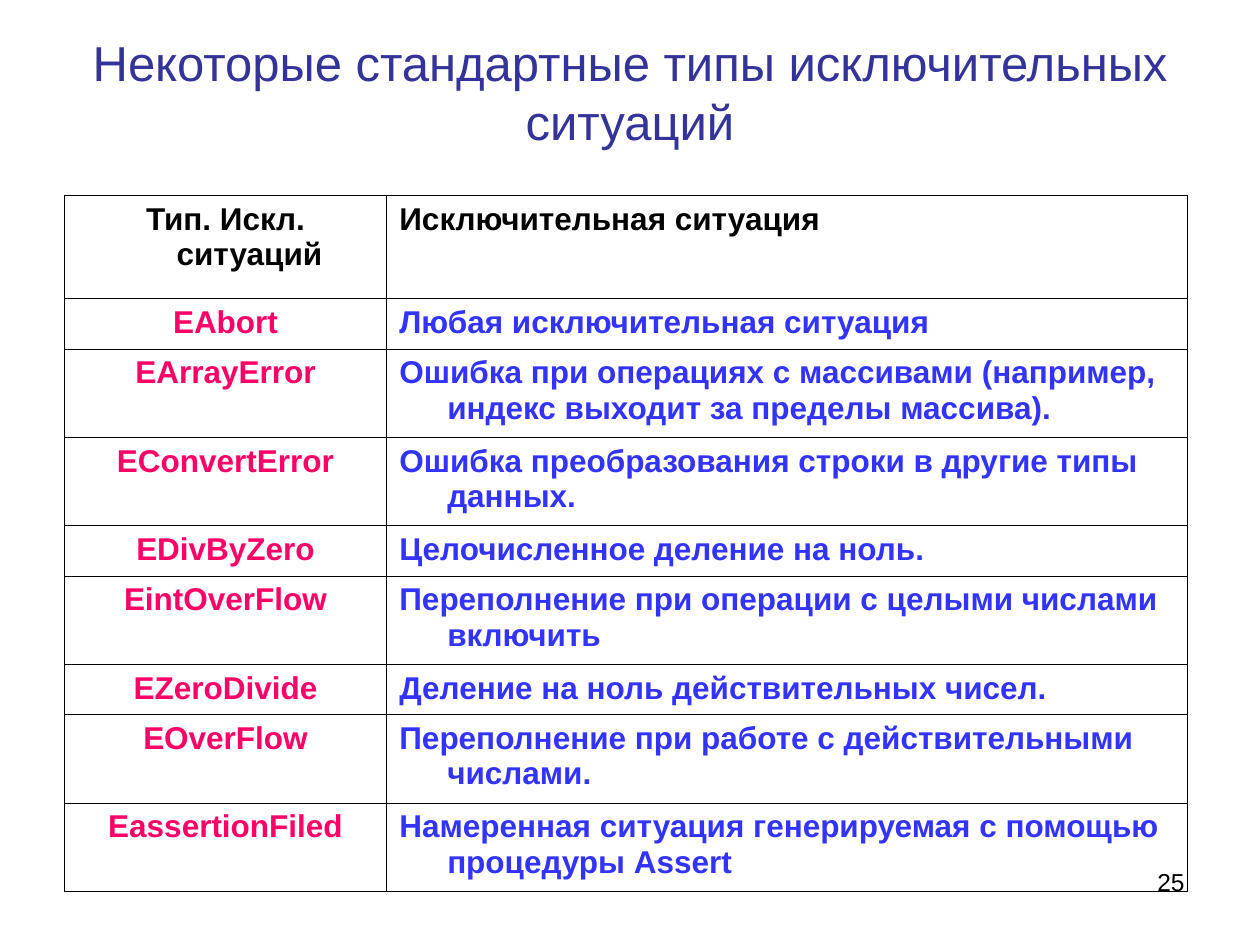
from lxml import etree
from pptx import Presentation
from pptx.dml.color import RGBColor
from pptx.enum.text import MSO_ANCHOR, PP_ALIGN
from pptx.oxml.ns import qn
from pptx.util import Inches, Pt

LEFT, CENTER, RIGHT = PP_ALIGN.LEFT, PP_ALIGN.CENTER, PP_ALIGN.RIGHT
MIDDLE = MSO_ANCHOR.MIDDLE
BLACK, NAVY, PINK, BLUE = "000000", "333399", "FF0066", "3333FF"


def write(frame, text, size=18, color=BLACK, bold=False, align=LEFT, hanging=0):
    frame.word_wrap = True
    paragraph = frame.paragraphs[0]
    paragraph.alignment = align
    if hanging:
        properties = paragraph._p.get_or_add_pPr()
        properties.set("marL", str(Inches(hanging)))
        properties.set("indent", str(-Inches(hanging)))
    run = paragraph.add_run()
    run.text = text
    run.font.name = "Arial"
    run.font.size = Pt(size)
    run.font.bold = bold
    run.font.color.rgb = RGBColor.from_string(color)


def add_borders(cell, color=BLACK, width=0.45):
    properties = cell._tc.get_or_add_tcPr()
    for position, side in enumerate(("a:lnL", "a:lnR", "a:lnT", "a:lnB")):
        line = etree.Element(qn(side), w=str(Pt(width)))
        fill = etree.SubElement(line, qn("a:solidFill"))
        etree.SubElement(fill, qn("a:srgbClr"), val=color)
        properties.insert(position, line)


presentation = Presentation()
presentation.slide_width = Inches(10)
presentation.slide_height = Inches(7.5)
slide = presentation.slides.add_slide(presentation.slide_layouts[6])

title = slide.shapes.add_textbox(Inches(0.5), Inches(0.3), Inches(9), Inches(0.85))
title.text_frame.vertical_anchor = MIDDLE
write(title.text_frame, "Некоторые стандартные типы исключительных ситуаций",
      size=28, color=NAVY, align=CENTER)

ONE_LINE, TWO_LINES = 0.4, 0.7
rows = [
    (0.82, "Тип. Искл. ситуаций", "Исключительная ситуация"),
    (ONE_LINE, "EAbort", "Любая исключительная ситуация"),
    (TWO_LINES, "EArrayError",
     "Ошибка при операциях с массивами (например, индекс выходит за пределы массива)."),
    (TWO_LINES, "EConvertError", "Ошибка преобразования строки в другие типы данных."),
    (ONE_LINE, "EDivByZero", "Целочисленное деление на ноль."),
    (TWO_LINES, "EintOverFlow", "Переполнение при операции с целыми числами включить"),
    (ONE_LINE, "EZeroDivide", "Деление на ноль действительных чисел."),
    (TWO_LINES, "EOverFlow", "Переполнение при работе с действительными числами."),
    (TWO_LINES, "EassertionFiled",
     "Намеренная ситуация генерируемая с помощью процедуры Assert"),
]
column_widths = (2.56, 6.35)
column_formats = ((PINK, CENTER), (BLUE, LEFT))

table = slide.shapes.add_table(
    len(rows), len(column_widths), Inches(0.51), Inches(1.55),
    Inches(sum(column_widths)), Inches(sum(row[0] for row in rows))).table
table.first_row = False
table.horz_banding = False
for column, width in zip(table.columns, column_widths):
    column.width = Inches(width)

for row_index, (height, *texts) in enumerate(rows):
    table.rows[row_index].height = Inches(height)
    for column_index, text in enumerate(texts):
        color, align = column_formats[column_index]
        cell = table.cell(row_index, column_index)
        cell.fill.background()
        add_borders(cell)
        write(cell.text_frame, text, color=color if row_index else BLACK,
              bold=True, align=align, hanging=0.38)

page_number = slide.shapes.add_textbox(Inches(7.17), Inches(6.83), Inches(2.33), Inches(0.52))
write(page_number.text_frame, "25", size=14, align=RIGHT)

presentation.save("out.pptx")
